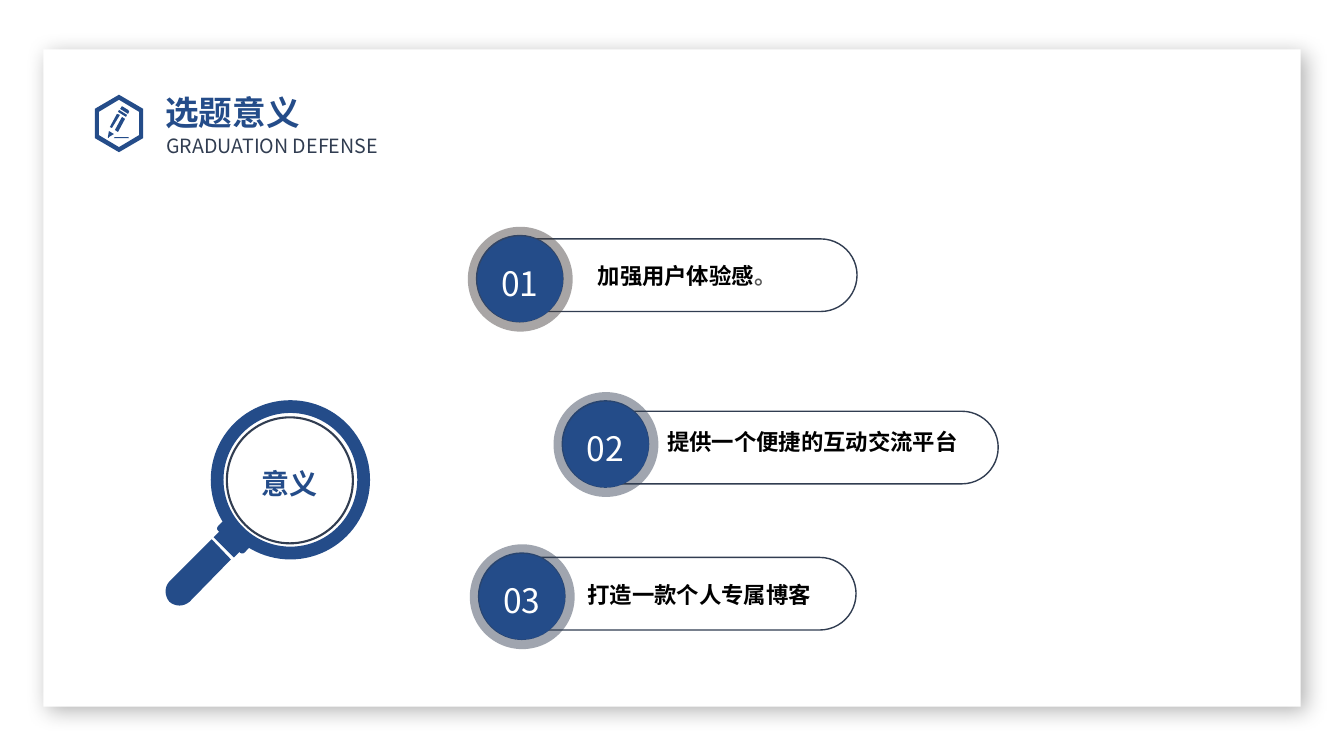
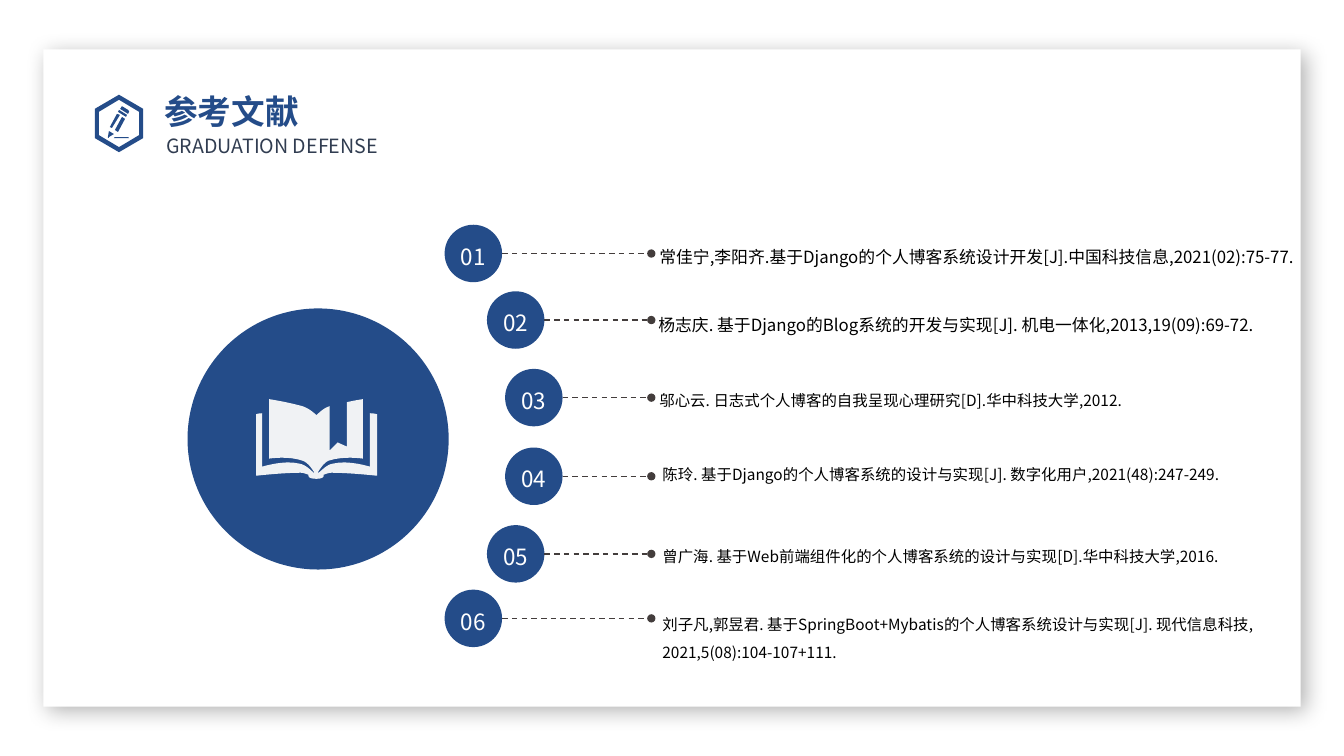
from dataclasses import dataclass

from lxml import etree
from pptx import Presentation
from pptx.dml.color import RGBColor
from pptx.enum.dml import MSO_LINE
from pptx.enum.shapes import MSO_CONNECTOR, MSO_SHAPE
from pptx.enum.text import MSO_ANCHOR, MSO_AUTO_SIZE, PP_ALIGN
from pptx.oxml.ns import qn
from pptx.util import Inches, Pt

FONT = "Noto Sans CJK SC"
COLORS = {
    "blue": "244C89",
    "slate": "313D51",
    "brown": "433D3C",
    "pale": "F0F2F4",
    "grey": "595959",
    "black": "000000",
    "white": "FFFFFF",
}
NO_MARGINS = {f"margin_{side}": 0 for side in ("left", "top", "right", "bottom")}
GROWING = {"auto_size": MSO_AUTO_SIZE.SHAPE_TO_FIT_TEXT}

# Outlines in inches: M starts a contour, L adds straight points, C adds one curve
PENCIL_ICON = """
M1.18,.94 L1.42,1.08,1.42,1.37,1.18,1.51,.94,1.37,.94,1.08
M1.18,.99 L1.38,1.11,1.38,1.34,1.18,1.46,.98,1.34,.98,1.11
M1.14,1.36 L1.27,1.36,1.28,1.37,1.27,1.37,1.14,1.37,1.13,1.37
M1.14,1.29 L1.21,1.16,1.24,1.18,1.17,1.31
M1.09,1.26 L1.16,1.13,1.19,1.14,1.11,1.27
M1.07,1.36 L1.08,1.3,1.13,1.33,1.08,1.36 C1.08,1.37,1.07,1.37,1.07,1.36
M1.18,1.09 L1.17,1.11,1.25,1.16,1.26,1.14
M1.2,1.07 C1.2,1.06,1.21,1.05,1.22,1.06 L1.27,1.09 C1.28,1.1,1.28,1.11,1.28,1.11
L1.27,1.13,1.19,1.08
"""
LENS_HANDLE = """
M2.1,5.35 L2.29,5.55,1.88,5.97 C1.82,6.02,1.74,6.02,1.68,5.97
C1.63,5.91,1.63,5.82,1.68,5.77
M2.27,5.24 C2.3,5.24,2.34,5.25,2.37,5.28 C2.42,5.34,2.42,5.42,2.37,5.48
L2.32,5.53,2.12,5.33,2.17,5.28 C2.2,5.25,2.23,5.24,2.27,5.24
"""
OPEN_BOOK = """
M3.06,4.71 L3.06,4.72 C3.06,4.74,3.09,4.75,3.14,4.75 C3.18,4.75,3.21,4.74,3.21,4.72
L3.21,4.71 C3.24,4.7,3.26,4.69,3.29,4.69 C3.47,4.69,3.74,4.72,3.74,4.72
L3.74,4.11 C3.74,4.11,3.71,4.1,3.67,4.1 L3.67,4.63 C3.67,4.63,3.45,4.56,3.3,4.6
C3.24,4.61,3.2,4.66,3.16,4.69 L3.15,4.69 C3.17,4.66,3.21,4.59,3.26,4.57
C3.41,4.52,3.6,4.55,3.6,4.55 L3.6,3.96 C3.6,3.96,3.53,3.97,3.44,3.99
L3.44,4.43,3.35,4.39,3.27,4.47,3.27,4.03 C3.2,4.05,3.14,4.12,3.14,4.12
C3.14,4.12,3.07,4.05,3,4.03 C2.86,3.99,2.67,3.96,2.67,3.96 L2.67,4.55
C2.67,4.55,2.86,4.52,3,4.57 C3.06,4.59,3.1,4.66,3.12,4.69 L3.11,4.69
C3.08,4.66,3.03,4.61,2.97,4.6 C2.82,4.56,2.6,4.63,2.6,4.63 L2.6,4.1
C2.56,4.1,2.54,4.11,2.54,4.11 L2.54,4.72 C2.54,4.72,2.8,4.69,2.98,4.69
C3.01,4.69,3.03,4.7,3.06,4.71
"""


@dataclass
class Box:
    left: float
    top: float
    width: float
    height: float

    def lengths(self) -> list:
        return [Inches(n) for n in (self.left, self.top, self.width, self.height)]


@dataclass
class TextStyle:
    size: int
    color: str
    bold: bool = False
    align: PP_ALIGN = PP_ALIGN.LEFT
    spacing: float = 1.2
    indent: float = 0


@dataclass
class Point:
    """A numbered disc with a pill beside it."""
    disc_left: float
    disc_top: float
    ring_color: str
    pill: Box
    text_box: Box
    text: str
    ending: str = ""


@dataclass
class Reference:
    """A numbered disc, a dashed line and a citation."""
    disc_left: float
    disc_top: float
    text_box: Box
    lines: tuple
    style: TextStyle


TITLE = TextStyle(24, "blue", bold=True)
SUBTITLE = TextStyle(14, "slate", spacing=Pt(23))
LENS_LABEL = TextStyle(20, "blue", bold=True, align=PP_ALIGN.CENTER)
POINT_TEXT = TextStyle(16, "black", bold=True, align=PP_ALIGN.JUSTIFY)
LARGE_CITATION = TextStyle(12, "black", spacing=1.5, indent=0.33)
LARGE_JUSTIFIED = TextStyle(12, "black", False, PP_ALIGN.JUSTIFY, 1.5, 0.33)
CITATION = TextStyle(11, "black", False, PP_ALIGN.JUSTIFY, 1.5, 0.33)
PLAIN_CITATION = TextStyle(11, "black")

POINTS = [
    Point(4.72, 2.33, "brown", Box(5.3, 2.37, 3.2, 0.72),
          Box(5.83, 2.5, 2.14, 0.38), "加强用户体验感", "。"),
    Point(5.57, 3.97, "slate", Box(6.14, 4.08, 3.76, 0.72),
          Box(6.52, 4.14, 3.18, 0.38), "提供一个便捷的互动交流平台"),
    Point(4.74, 5.48, "slate", Box(5.25, 5.53, 3.24, 0.72),
          Box(5.73, 5.66, 2.48, 0.38), "打造一款个人专属博客"),
]
REFERENCES = [
    Reference(4.41, 2.23, Box(6.21, 2.35, 6.72, 0.27),
              ("常佳宁,李阳齐.基于Django的个人博客系统设计开发[J].中国科技信息,2021(02):75-77.",),
              LARGE_CITATION),
    Reference(4.83, 2.89, Box(6.2, 3.02, 6.56, 0.26),
              ("杨志庆. 基于Django的Blog系统的开发与实现[J]. 机电一体化,2013,19(09):69-72.",),
              LARGE_JUSTIFIED),
    Reference(5.01, 3.66, Box(6.21, 3.79, 5.12, 0.23),
              ("邬心云. 日志式个人博客的自我呈现心理研究[D].华中科技大学,2012.",), CITATION),
    Reference(5.01, 4.44, Box(6.57, 4.58, 5.63, 0.2),
              ("陈玲. 基于Django的个人博客系统的设计与实现[J]. 数字化用户,2021(48):247-249.",),
              PLAIN_CITATION),
    Reference(4.83, 5.21, Box(6.24, 5.34, 5.97, 0.23),
              ("曾广海. 基于Web前端组件化的个人博客系统的设计与实现[D].华中科技大学,2016.",),
              CITATION),
    Reference(4.41, 5.85, Box(6.24, 6.01, 6.43, 0.51),
              ("刘子凡,郭昱君. 基于SpringBoot+Mybatis的个人博客系统设计与实现[J]. 现代信息科技,",
               "2021,5(08):104-107+111."), CITATION),
]


# Helpers
def rgb(name: str) -> RGBColor:
    return RGBColor.from_string(COLORS[name])


def apply(target, values: dict) -> None:
    for name, value in values.items():
        setattr(target, name, value)


def add_run(paragraph, text: str, style: TextStyle, color: str = "") -> None:
    run = paragraph.add_run()
    run.text = text
    apply(run.font, {"size": Pt(style.size), "bold": style.bold, "name": FONT})
    run.font.color.rgb = rgb(color or style.color)
    etree.SubElement(run.font._element, qn("a:ea"), typeface=FONT)


def write(shape, lines: tuple, style: TextStyle, frame_format: dict) -> None:
    frame = shape.text_frame
    apply(frame, {"word_wrap": True, **frame_format})
    for index, line in enumerate(lines):
        paragraph = frame.add_paragraph() if index else frame.paragraphs[0]
        apply(paragraph, {"alignment": style.align, "line_spacing": style.spacing})
        if style.indent:
            properties = paragraph._p.get_or_add_pPr()
            properties.set("marL", "0")
            properties.set("indent", str(Inches(style.indent)))
        add_run(paragraph, line, style)


def finish(shape, fill: str = "", line: str = "", weight: float = 1):
    shape.shadow.inherit = False
    if fill:
        shape.fill.solid()
        shape.fill.fore_color.rgb = rgb(fill)
    else:
        shape.fill.background()
    if line:
        shape.line.color.rgb = rgb(line)
        shape.line.width = Pt(weight)
    else:
        shape.line.fill.background()
    return shape


def add_figure(slide, kind: MSO_SHAPE, box: Box, fill: str = "", line: str = "", weight: float = 1):
    return finish(slide.shapes.add_shape(kind, *box.lengths()), fill, line, weight)


def add_text(slide, box: Box, lines: tuple, style: TextStyle, frame_format: dict):
    shape = slide.shapes.add_textbox(*box.lengths())
    write(shape, lines, style, frame_format)
    return shape


def curve(points: list, steps: int = 8) -> list:
    weights = [((1 - t) ** 3, 3 * t * (1 - t) ** 2, 3 * t * t * (1 - t), t ** 3)
               for t in (step / steps for step in range(1, steps + 1))]
    return [tuple(sum(w * p[axis] for w, p in zip(row, points)) for axis in (0, 1))
            for row in weights]


def add_outline(slide, outline: str, fill: str):
    contours = []
    for step in outline.split():
        numbers = [float(number) for number in step[1:].split(",")]
        points = list(zip(numbers[::2], numbers[1::2]))
        if step[0] == "M":
            contours.append(points)
        elif step[0] == "L":
            contours[-1].extend(points)
        else:
            contours[-1].extend(curve([contours[-1][-1], *points]))
    contours = [[(Inches(x), Inches(y)) for x, y in contour] for contour in contours]
    builder = slide.shapes.build_freeform(*contours[0][0])
    for index, contour in enumerate(contours):
        if index:
            builder.move_to(*contour[0])
        builder.add_line_segments(contour[1:], close=True)
    return finish(builder.convert_to_shape(), fill)


def add_disc(slide, left: float, top: float, size: float, number: int, text_size: int) -> None:
    disc = add_figure(slide, MSO_SHAPE.OVAL, Box(left, top, size, size), "blue")
    style = TextStyle(text_size, "white", align=PP_ALIGN.CENTER)
    write(disc, (f"{number:02d}",), style, {"vertical_anchor": MSO_ANCHOR.MIDDLE, **NO_MARGINS})


# Shared layout: panel, icon and subtitle
def furnish_layout(slide, layout) -> None:
    panel = add_figure(slide, MSO_SHAPE.RECTANGLE, Box(0.43, 0.49, 12.47, 6.52), "white")
    effects = panel.element.spPr.find(qn("a:effectLst"))
    shadow = etree.SubElement(effects, qn("a:outerShdw"), blurRad=str(Pt(15)),
                              dist=str(Pt(5)), dir="2700000", algn="tl", rotWithShape="0")
    color = etree.SubElement(shadow, qn("a:srgbClr"), val=COLORS["black"])
    etree.SubElement(color, qn("a:alpha"), val="30000")
    icon = add_outline(slide, PENCIL_ICON, "blue")
    subtitle = add_text(slide, Box(1.65, 1.24, 2.17, 0.34), ("GRADUATION DEFENSE",), SUBTITLE,
                        {**NO_MARGINS, "margin_bottom": Inches(0.05), **GROWING})
    for number, shape in enumerate((panel, icon, subtitle), 20):
        shape.element.nvSpPr.cNvPr.set("id", str(number))
        layout.shapes.element.append(shape.element)


def set_title(slide, text: str, box: Box) -> None:
    title = slide.shapes.title
    apply(title, dict(zip(("left", "top", "width", "height"), box.lengths())))
    write(title, (text,), TITLE,
          {"vertical_anchor": MSO_ANCHOR.MIDDLE, "auto_size": MSO_AUTO_SIZE.NONE})


# Slide 1: magnifier and three points
def add_magnifier(slide) -> None:
    lens = add_figure(slide, MSO_SHAPE.OVAL, Box(2.25, 4.14, 1.25, 1.25), "", "slate", 1.5)
    write(lens, ("意义",), LENS_LABEL, {"vertical_anchor": MSO_ANCHOR.MIDDLE})
    rim = add_figure(slide, MSO_SHAPE.DONUT, Box(2.09, 3.97, 1.58, 1.58), "blue")
    rim.adjustments[0] = 0.08
    add_outline(slide, LENS_HANDLE, "blue")
    collar = add_figure(slide, MSO_SHAPE.ROUNDED_RECTANGLE, Box(2.15, 5.22, 0.37, 0.18), "blue")
    collar.rotation = 45


def add_point(slide, number: int, point: Point) -> None:
    pill = point.pill
    shift = (pill.width - pill.height) / 2
    upright = Box(pill.left + shift, pill.top - shift, pill.height, pill.width)
    outline = add_figure(slide, MSO_SHAPE.ROUND_2_SAME_RECTANGLE, upright, "", "slate")
    outline.rotation = 90
    outline.adjustments[0] = 0.5
    text = add_text(slide, point.text_box, (point.text,), POINT_TEXT, GROWING)
    if point.ending:
        add_run(text.text_frame.paragraphs[0], point.ending, POINT_TEXT, "grey")
    add_disc(slide, point.disc_left, point.disc_top, 0.87, number, 24)
    ring_box = Box(point.disc_left - 0.08, point.disc_top - 0.08, 1.04, 1.04)
    ring = add_figure(slide, MSO_SHAPE.DONUT, ring_box, point.ring_color)
    ring.adjustments[0] = 0.09
    color = ring.element.spPr.find(qn("a:solidFill"))[0]
    etree.SubElement(color, qn("a:alpha"), val="46000")


# Slide 2: book and six references
def add_reference(slide, number: int, reference: Reference, size: float = 0.57) -> None:
    add_disc(slide, reference.disc_left, reference.disc_top, size, number, 16)
    add_text(slide, reference.text_box, reference.lines, reference.style,
             {**NO_MARGINS, **GROWING, "word_wrap": False})
    middle = Inches(reference.disc_top + size / 2)
    connector = slide.shapes.add_connector(
        MSO_CONNECTOR.STRAIGHT, Inches(reference.disc_left + size), middle, Inches(6.46), middle)
    connector.line.color.rgb = rgb("brown")
    apply(connector.line, {"width": Pt(1), "dash_style": MSO_LINE.DASH})
    properties = connector.element.spPr
    etree.SubElement(properties.find(qn("a:ln")), qn("a:tailEnd"), type="oval")
    etree.SubElement(properties, qn("a:effectLst"))


def main() -> None:
    presentation = Presentation()
    apply(presentation, {"slide_width": Inches(13.33), "slide_height": Inches(7.5)})
    layout = presentation.slide_layouts[5]

    meaning = presentation.slides.add_slide(layout)
    furnish_layout(meaning, layout)
    set_title(meaning, "选题意义", Box(1.54, 0.82, 3.97, 0.5))
    add_magnifier(meaning)
    for number, point in enumerate(POINTS, 1):
        add_point(meaning, number, point)

    sources = presentation.slides.add_slide(layout)
    set_title(sources, "参考文献", Box(1.53, 0.81, 4.27, 0.5))
    add_figure(sources, MSO_SHAPE.OVAL, Box(1.86, 3.06, 2.59, 2.59), "blue")
    add_outline(sources, OPEN_BOOK, "pale")
    for number, reference in enumerate(REFERENCES, 1):
        add_reference(sources, number, reference)

    presentation.save("out.pptx")


if __name__ == "__main__":
    main()
